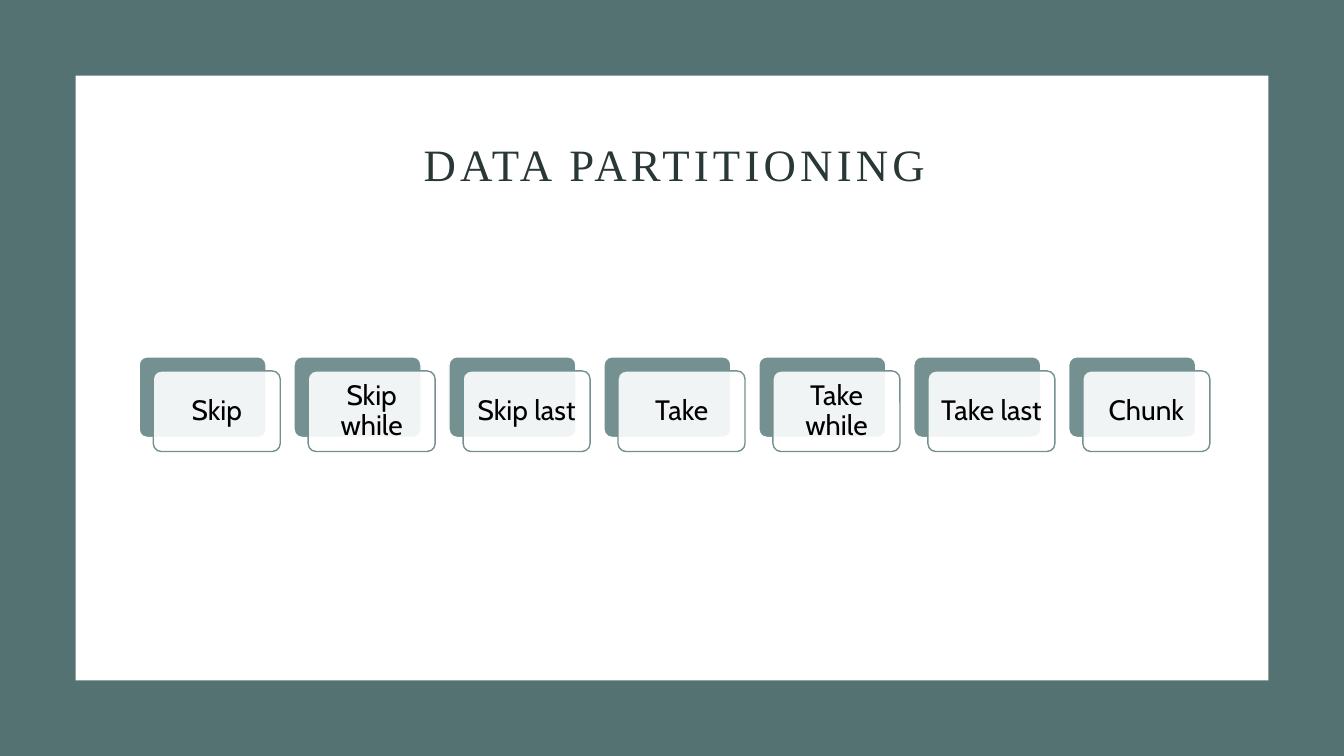
"""Build the Data Partitioning slide: a framed title above a row of layered cards."""
from typing import NamedTuple

from lxml import etree
from pptx import Presentation
from pptx.dml.color import RGBColor
from pptx.enum.shapes import MSO_SHAPE
from pptx.enum.text import MSO_ANCHOR, PP_ALIGN
from pptx.oxml.ns import qn
from pptx.util import Inches, Pt

RECT = MSO_SHAPE.RECTANGLE
ROUNDED = MSO_SHAPE.ROUNDED_RECTANGLE
MIDDLE = MSO_ANCHOR.MIDDLE
CENTER = PP_ALIGN.CENTER

COLORS = {
    "frame": "557272",
    "white": "FFFFFF",
    "card": "749090",
    "title": "293737",
    "label": "000000",
}
OPERATORS = ["Skip", "Skip while", "Skip last", "Take", "Take while", "Take last", "Chunk"]
FIRST_LEFT, LAST_LEFT, CARD_TOP = 1.38, 10.6, 3.54
PITCH = (LAST_LEFT - FIRST_LEFT) / (len(OPERATORS) - 1)
CARD_WIDTH, CARD_HEIGHT = 1.26, 0.8
OFFSET, LABEL_INSET = 0.14, 0.02


class Box(NamedTuple):
    left: float
    top: float
    width: float
    height: float

    def lengths(self) -> list:
        return [Inches(v) for v in self]


class Style(NamedTuple):
    font: str
    size: int
    color: str
    inset: float
    space_after: float = 0
    tracking: int = 0


TITLE = Style("Times New Roman", 32, "title", 0.1, tracking=300)
LABEL = Style("Cabin", 20, "label", 0.08, space_after=7)


def rgb(name: str) -> RGBColor:
    return RGBColor.from_string(COLORS[name])


def add_panel(shapes, kind, box: Box, fill: str, line: str = "", opacity: int = 100) -> None:
    sp = shapes.add_shape(kind, *box.lengths())
    sp.shadow.inherit = False
    sp.fill.solid()
    sp.fill.fore_color.rgb = rgb(fill)
    if kind == ROUNDED:
        sp.adjustments[0] = 0.1
    if line:
        sp.line.color.rgb = rgb(line)
        sp.line.width = Pt(1)
    else:
        sp.line.fill.background()
    if opacity < 100:
        color = sp.fill._xPr.find(".//" + qn("a:srgbClr"))
        etree.SubElement(color, qn("a:alpha"), val=str(opacity * 1000))


def add_text(shapes, box: Box, text: str, style: Style) -> None:
    tf = shapes.add_textbox(*box.lengths()).text_frame
    tf.word_wrap = True
    tf.vertical_anchor = MIDDLE
    tf.margin_left = tf.margin_right = Inches(style.inset)
    tf.margin_top = tf.margin_bottom = Inches(min(style.inset, 0.08))
    p = tf.paragraphs[0]
    p.alignment = CENTER
    p.line_spacing = 0.9
    p.space_after = Pt(style.space_after)
    p.font.name = style.font
    p.font.size = Pt(style.size)
    p.font.color.rgb = rgb(style.color)
    r = p.add_run()
    r.text = text
    if style.tracking:
        r.font._element.set("spc", str(style.tracking))


def add_card(shapes, left: float, text: str) -> None:
    back = Box(left, CARD_TOP, CARD_WIDTH, CARD_HEIGHT)
    front = back._replace(left=left + OFFSET, top=CARD_TOP + OFFSET)
    label = Box(front.left + LABEL_INSET, front.top + LABEL_INSET,
                CARD_WIDTH - 2 * LABEL_INSET, CARD_HEIGHT - 2 * LABEL_INSET)
    add_panel(shapes, ROUNDED, back, "card", "white")
    add_panel(shapes, ROUNDED, front, "white", "card", 90)
    add_text(shapes, label, text, LABEL)


def main() -> None:
    prs = Presentation()
    prs.slide_width, prs.slide_height = Inches(13.33), Inches(7.5)
    s = prs.slides.add_slide(prs.slide_layouts[6])
    add_panel(s.shapes, RECT, Box(0, 0, 13.33, 7.5), "frame")
    add_panel(s.shapes, RECT, Box(0.75, 0.75, 11.83, 6), "white")
    add_text(s.shapes, Box(1.5, 1.17, 10.38, 0.98), "DATA PARTITIONING", TITLE)
    cards = s.shapes.add_group_shape()
    for i, operator in enumerate(OPERATORS):
        add_card(cards.shapes, FIRST_LEFT + i * PITCH, operator)
    prs.save("out.pptx")


if __name__ == "__main__":
    main()
